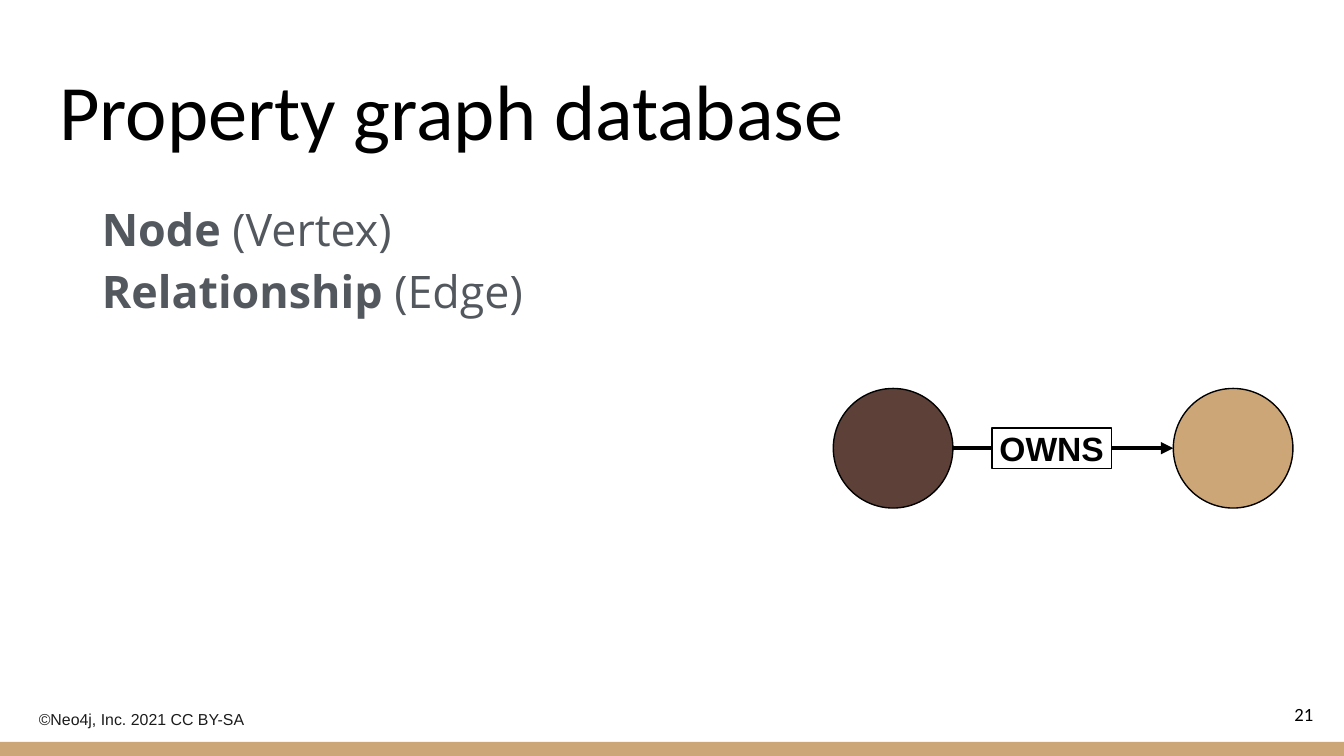
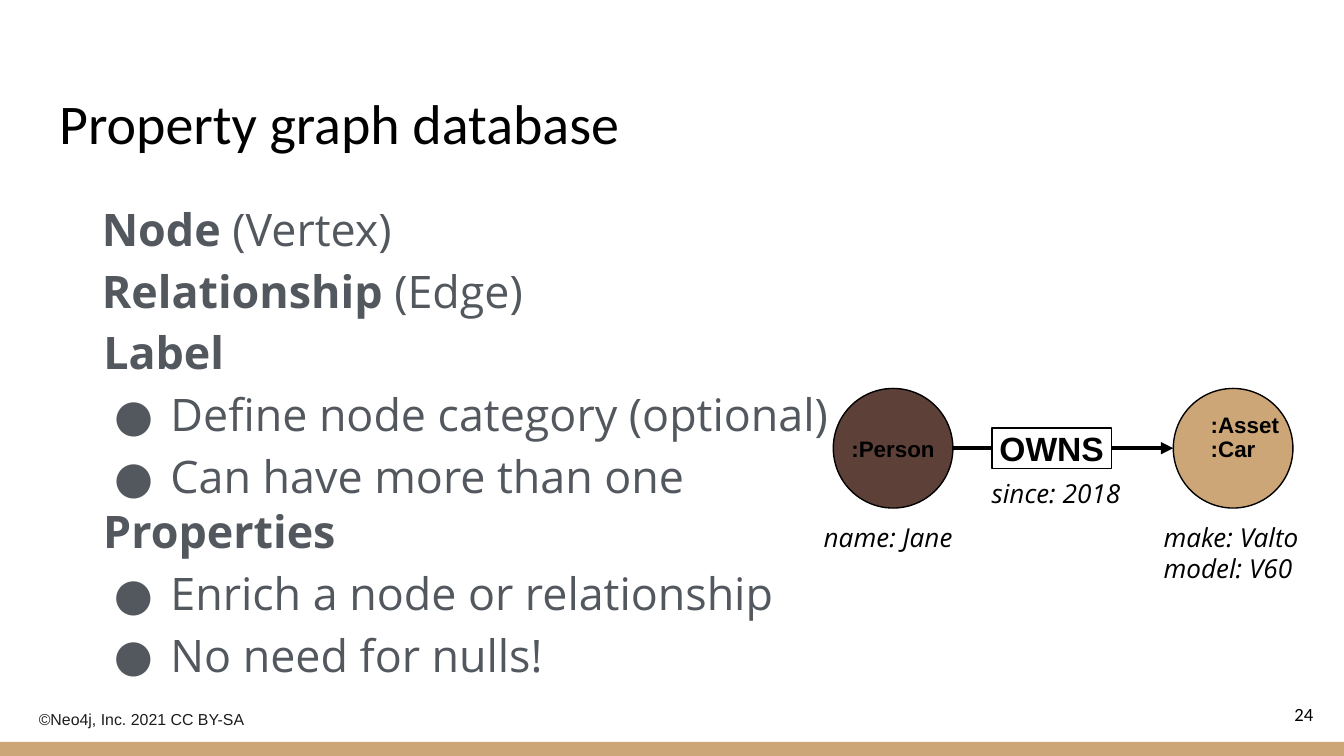
import pptx
import pptx.dml.color
import pptx.enum.shapes
import pptx.enum.text
import pptx.oxml.ns
import pptx.util
from dataclasses import dataclass
from lxml import etree

Inches = pptx.util.Inches
Pt = pptx.util.Pt
SHAPE = pptx.enum.shapes.MSO_SHAPE
ALIGN = pptx.enum.text.PP_ALIGN
ANCHOR = pptx.enum.text.MSO_ANCHOR
FIT = pptx.enum.text.MSO_AUTO_SIZE
qn = pptx.oxml.ns.qn


@dataclass(frozen=True)
class Theme:
    black: str = "000000"
    white: str = "FFFFFF"
    slate: str = "53585F"
    credit: str = "1D1C1D"
    brown: str = "5D4037"
    tan: str = "CCA677"
    title_font: str = "Calibri"
    body_font: str = "Open Sans"
    label_font: str = "Arial"
    body_size: float = 24
    relation_size: float = 18
    property_size: float = 14
    label_size: float = 12
    page_size: float = 10
    credit_size: float = 8.5
    outline: float = 0.75
    arrow: float = 2.25


THEME = Theme()

# Geometry of the graph
NODE_SIZE = 0.89
OWNER_LEFT, ASSET_LEFT, NODE_TOP = 6.2, 8.73, 2.89
RELATION_HEIGHT = 0.3
NODE_MIDDLE = NODE_TOP + NODE_SIZE / 2


def rgb(value):
    return pptx.dml.color.RGBColor.from_string(value)


def style_runs(paragraph, font, size, color, bold=False, italic=False):
    for run in paragraph.runs:
        run.font.name = font
        run.font.size = Pt(size)
        run.font.color.rgb = rgb(color)
        run.font.bold = bold
        run.font.italic = italic


def set_frame(frame, inset=0.1, anchor=ANCHOR.TOP, fit=FIT.NONE):
    frame.word_wrap = True
    frame.auto_size = fit
    frame.vertical_anchor = anchor
    frame.margin_left = frame.margin_right = Inches(inset)
    frame.margin_top = frame.margin_bottom = Inches(inset)


def add_text(slide, box, text, font, size, color, bold=False, italic=False,
             align=ALIGN.LEFT, anchor=ANCHOR.TOP, fit=FIT.NONE):
    frame = slide.shapes.add_textbox(*map(Inches, box)).text_frame
    set_frame(frame, anchor=anchor, fit=fit)
    frame.text = text
    for paragraph in frame.paragraphs:
        paragraph.alignment = align
        style_runs(paragraph, font, size, color, bold, italic)


def add_figure(slide, kind, box, fill, outlined=True):
    figure = slide.shapes.add_shape(kind, *map(Inches, box))
    figure.shadow.inherit = False
    figure.fill.solid()
    figure.fill.fore_color.rgb = rgb(fill)
    if outlined:
        figure.line.color.rgb = rgb(THEME.black)
        figure.line.width = Pt(THEME.outline)
    else:
        figure.line.fill.background()
    return figure


def label_figure(figure, text, size, inset=0.0):
    frame = figure.text_frame
    set_frame(frame, inset, ANCHOR.MIDDLE)
    frame.text = text
    paragraph = frame.paragraphs[0]
    paragraph.alignment = ALIGN.CENTER
    style_runs(paragraph, THEME.label_font, size, THEME.black, bold=True)


def add_bullet(paragraph):
    properties = paragraph._p.get_or_add_pPr()
    properties.set("marL", str(Inches(0.5)))
    properties.set("indent", str(Inches(-0.42)))
    bullet_color = etree.SubElement(properties, qn("a:buClr"))
    etree.SubElement(bullet_color, qn("a:srgbClr"), val=THEME.slate)
    etree.SubElement(properties, qn("a:buFont"), typeface=THEME.body_font)
    etree.SubElement(properties, qn("a:buChar"), char="●")


def add_terms(slide, box, terms):
    """Each term is a bold name, a regular remark and a list of bullets."""
    frame = slide.shapes.add_textbox(*map(Inches, box)).text_frame
    set_frame(frame)
    lines = []
    for name, remark, bullets in terms:
        lines.append((name, remark, False))
        lines += [("", bullet, True) for bullet in bullets]
    for index, (name, remark, bulleted) in enumerate(lines):
        paragraph = frame.add_paragraph() if index else frame.paragraphs[0]
        if bulleted:
            add_bullet(paragraph)
        paragraph.line_spacing = 1.15
        for part in filter(None, (name, remark)):
            paragraph.add_run().text = part
        style_runs(paragraph, THEME.body_font, THEME.body_size, THEME.slate)
        if name:
            paragraph.runs[0].font.bold = True


def add_arrow(slide, start, end, level):
    arrow = slide.shapes.add_connector(
        pptx.enum.shapes.MSO_CONNECTOR.STRAIGHT,
        Inches(start), Inches(level), Inches(end), Inches(level))
    arrow.line.color.rgb = rgb(THEME.black)
    arrow.line.width = Pt(THEME.arrow)
    etree.SubElement(arrow.line._get_or_add_ln(), qn("a:headEnd"), type="triangle")
    etree.SubElement(arrow._element.spPr, qn("a:effectLst"))


def add_graph(slide):
    """Draw owner -> asset and return both nodes."""
    add_arrow(slide, ASSET_LEFT, OWNER_LEFT + NODE_SIZE, NODE_MIDDLE)
    owner, asset = [
        add_figure(slide, SHAPE.OVAL, (left, NODE_TOP, NODE_SIZE, NODE_SIZE), fill)
        for left, fill in ((OWNER_LEFT, THEME.brown), (ASSET_LEFT, THEME.tan))]
    relation = add_figure(
        slide, SHAPE.RECTANGLE,
        (7.38, NODE_MIDDLE - RELATION_HEIGHT / 2, NODE_SIZE, RELATION_HEIGHT),
        THEME.white)
    label_figure(relation, "OWNS", THEME.relation_size)
    return owner, asset


def add_properties(slide, left, top, width, text):
    add_text(slide, (left, top, width, 0.27), text, THEME.body_font,
             THEME.property_size, THEME.black, italic=True)


def start_slide(deck, title_size, page):
    slide = deck.slides.add_slide(deck.slide_layouts[5])
    slide.background.fill.solid()
    slide.background.fill.fore_color.rgb = rgb(THEME.white)

    # Footer: credit, band and page number
    add_text(slide, (0.19, 5.21, 7.15, 0.35), "©Neo4j, Inc. 2021 CC BY-SA",
             THEME.label_font, THEME.credit_size, THEME.credit,
             fit=FIT.SHAPE_TO_FIT_TEXT, anchor=ANCHOR.TOP)
    add_figure(slide, SHAPE.RECTANGLE, (0, 5.52, 10, 0.11), THEME.tan, outlined=False)
    add_text(slide, (9.27, 5.1, 0.6, 0.43), page, THEME.title_font, THEME.page_size,
             THEME.black, align=ALIGN.RIGHT, anchor=ANCHOR.MIDDLE)

    # Title
    title = slide.shapes.title
    title.left, title.top, title.width, title.height = map(
        Inches, (0.34, 0.35, 9.32, 0.91))
    set_frame(title.text_frame, anchor=ANCHOR.BOTTOM)
    title.text_frame.text = "Property graph database"
    heading = title.text_frame.paragraphs[0]
    heading.alignment = ALIGN.LEFT
    style_runs(heading, THEME.title_font, title_size, THEME.black)

    # Terms found on every slide
    add_terms(slide, (0.66, 1.34, 5.5, 1),
              [("Node ", "(Vertex)", []), ("Relationship ", "(Edge)", [])])
    return slide


def build_basics(deck):
    slide = start_slide(deck, 42, "21")
    add_graph(slide)


def build_details(deck):
    slide = start_slide(deck, 30, "24")

    # Labels inside the nodes
    owner, asset = add_graph(slide)
    label_figure(owner, ":Person", THEME.label_size)
    label_figure(asset, ":Car", THEME.label_size, inset=0.1)
    add_text(slide, (8.91, 2.96, 0.87, 0.4), ":Asset", THEME.label_font,
             THEME.label_size, THEME.black, bold=True)

    # Further terms
    add_terms(slide, (0.67, 2.26, 5.61, 1), [
        ("Label", "", ["Define node category (optional)", "Can have more than one"])])
    add_terms(slide, (0.67, 3.59, 5.5, 1), [
        ("Properties", "", ["Enrich a node or relationship", "No need for nulls!"])])

    # Properties of nodes and relationship
    add_properties(slide, 6.03, 3.78, 2.35, "name: Jane")
    add_properties(slide, 8.56, 3.78, 1.27, "make: Valto\nmodel: V60")
    add_properties(slide, 7.28, 3.45, 2.35, "since: 2018")


def main():
    deck = pptx.Presentation()
    deck.slide_width = Inches(10)
    deck.slide_height = deck.slide_width * 9 // 16
    build_basics(deck)
    build_details(deck)
    deck.save("out.pptx")


if __name__ == "__main__":
    main()
